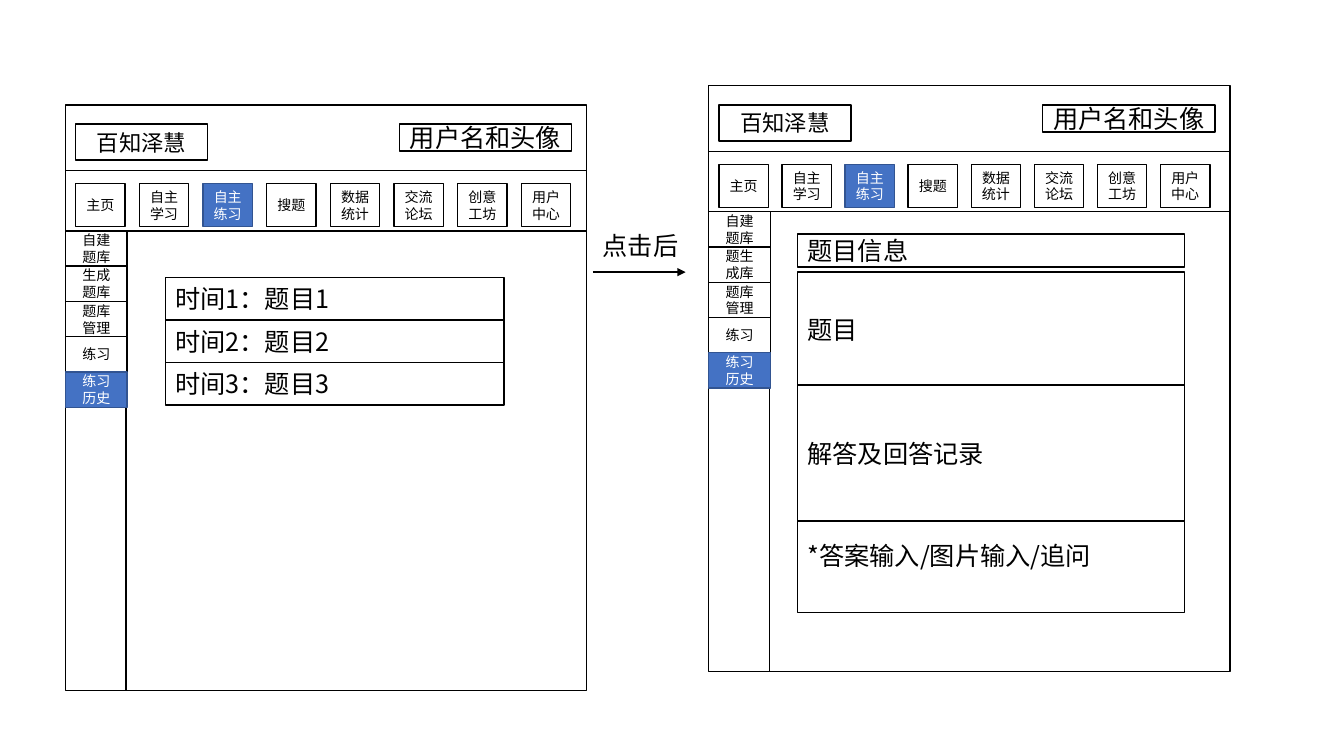
from collections import namedtuple

from lxml.etree import SubElement
from pptx import Presentation
from pptx.dml.color import RGBColor
from pptx.enum.shapes import MSO_CONNECTOR, MSO_SHAPE
from pptx.enum.text import MSO_ANCHOR, PP_ALIGN
from pptx.oxml.ns import qn
from pptx.util import Inches, Pt

Box = namedtuple("Box", "left top width height")

FONT = "Noto Sans CJK SC"
BLACK, WHITE, BLUE, DARK_BLUE = "000000", "FFFFFF", "4472C4", "325491"
PANEL_WIDTH, PANEL_HEIGHT = 5.17, 5.81
MARGIN = 0.1
HEADER_HEIGHT, NAV_BOTTOM = 0.65, 1.25
SIDE_WIDTH, SIDE_ROW = 0.61, 0.35
NAV_ITEMS = ["主页", "自主学习", "自主练习", "搜题", "数据统计", "交流论坛", "创意工坊", "用户中心"]
ACTIVE_ITEMS = {"自主练习", "练习历史"}


def color(value):
    return RGBColor.from_string(value)


def write(shape, text, size, ink=BLACK, align=PP_ALIGN.LEFT):
    frame = shape.text_frame
    frame.word_wrap = True
    frame.text = text
    para = frame.paragraphs[0]
    para.alignment = align
    for span in para.runs:
        span.font.size = Pt(size)
        span.font.name = FONT
        span.font.color.rgb = color(ink)
        SubElement(span.font._element, qn("a:ea")).set("typeface", FONT)


def add_box(shapes, box, text="", size=18, align=PP_ALIGN.LEFT):
    active = text in ACTIVE_ITEMS
    shape = shapes.add_shape(MSO_SHAPE.RECTANGLE, *map(Inches, box))
    shape.shadow.inherit = False
    shape.fill.solid()
    shape.fill.fore_color.rgb = color(BLUE if active else WHITE)
    shape.line.color.rgb = color(DARK_BLUE if active else BLACK)
    shape.line.width = Pt(1)
    if text:
        shape.text_frame.vertical_anchor = MSO_ANCHOR.MIDDLE
        write(shape, text, size, WHITE if active else BLACK, align)


def add_line(shapes, start, end, arrow=False):
    ends = map(Inches, (*start, *end))
    line = shapes.add_connector(MSO_CONNECTOR.STRAIGHT, *ends)
    line.line.color.rgb = color(BLACK)
    line.line.width = Pt(1)
    if arrow:
        SubElement(line.line._get_or_add_ln(), qn("a:tailEnd")).set("type", "triangle")
    SubElement(line._element.spPr, qn("a:effectLst"))


def draw_header(shapes, panel):
    top = panel.top + 0.19
    user_left = panel.left + panel.width - 1.86
    add_box(shapes, Box(panel.left + MARGIN, top, 1.31, 0.36), "百知泽慧", 16, PP_ALIGN.CENTER)
    add_box(shapes, Box(user_left, top, 1.71, 0.27), "用户名和头像", 18, PP_ALIGN.CENTER)


def draw_navigation(shapes, panel, span):
    pitch = span / (len(NAV_ITEMS) - 1)
    for column, label in enumerate(NAV_ITEMS):
        left = panel.left + MARGIN + column * pitch
        add_box(shapes, Box(left, panel.top + 0.78, 0.49, 0.43), label, 10, PP_ALIGN.CENTER)


def draw_sidebar(shapes, panel, labels):
    for row, label in enumerate(labels):
        top = panel.top + NAV_BOTTOM + row * SIDE_ROW
        add_box(shapes, Box(panel.left, top, SIDE_WIDTH, SIDE_ROW), label, 10, PP_ALIGN.CENTER)


def draw_panel(page, panel, nav_span, side_labels):
    shapes = page.shapes.add_group_shape().shapes
    right, bottom = panel.left + panel.width, panel.top + panel.height
    divider = panel.left + 0.6
    add_box(shapes, panel)
    for offset in (HEADER_HEIGHT, NAV_BOTTOM):
        add_line(shapes, (panel.left, panel.top + offset), (right, panel.top + offset))
    add_line(shapes, (divider, panel.top + NAV_BOTTOM), (divider, bottom))
    draw_header(shapes, panel)
    draw_navigation(shapes, panel, nav_span)
    draw_sidebar(shapes, panel, side_labels)


def draw_history(page, area):
    row_height = area.height / 3
    for row in range(3):
        number = row + 1
        box = Box(area.left, area.top + row * row_height, area.width, row_height)
        add_box(page.shapes, box, f"时间{number}：题目{number}")


def draw_question(page, area):
    sections = [
        ("题目", 0.38, 1.13),
        ("题目信息", 0, 0.33),
        ("*答案输入/图片输入/追问", 2.63, 1.13),
        ("解答及回答记录", 1.5, 1.35),
    ]
    for label, offset, height in sections:
        add_box(page.shapes, Box(area.left, area.top + offset, area.width, height), label)


def draw_transition(page, area):
    label = page.shapes.add_textbox(*map(Inches, area._replace(height=0.4)))
    write(label, "点击后", 18)
    arrow_top = area.top + area.height
    add_line(page.shapes, (area.left, arrow_top), (area.left + 0.92, arrow_top), arrow=True)


def main():
    deck = Presentation()
    deck.slide_width, deck.slide_height = Inches(13.33), Inches(7.5)
    page = deck.slides.add_slide(deck.slide_layouts[6])
    left_panel = Box(0.65, 1.04, PANEL_WIDTH, PANEL_HEIGHT)
    right_panel = Box(7.03, 0.85, PANEL_WIDTH, PANEL_HEIGHT)
    draw_panel(page, right_panel, 4.38, ["自建题库", "题生成库", "题库管理", "练习", "练习历史"])
    draw_question(page, Box(right_panel.left + 0.88, right_panel.top + 1.47, 3.84, 3.76))
    draw_panel(page, left_panel, 4.42, ["自建题库", "生成题库", "题库管理", "练习", "练习历史"])
    draw_history(page, Box(left_panel.left + 0.99, left_panel.top + 1.71, 3.36, 1.27))
    draw_transition(page, Box(5.88, 2.24, 1.01, 0.46))
    deck.save("out.pptx")


if __name__ == "__main__":
    main()
